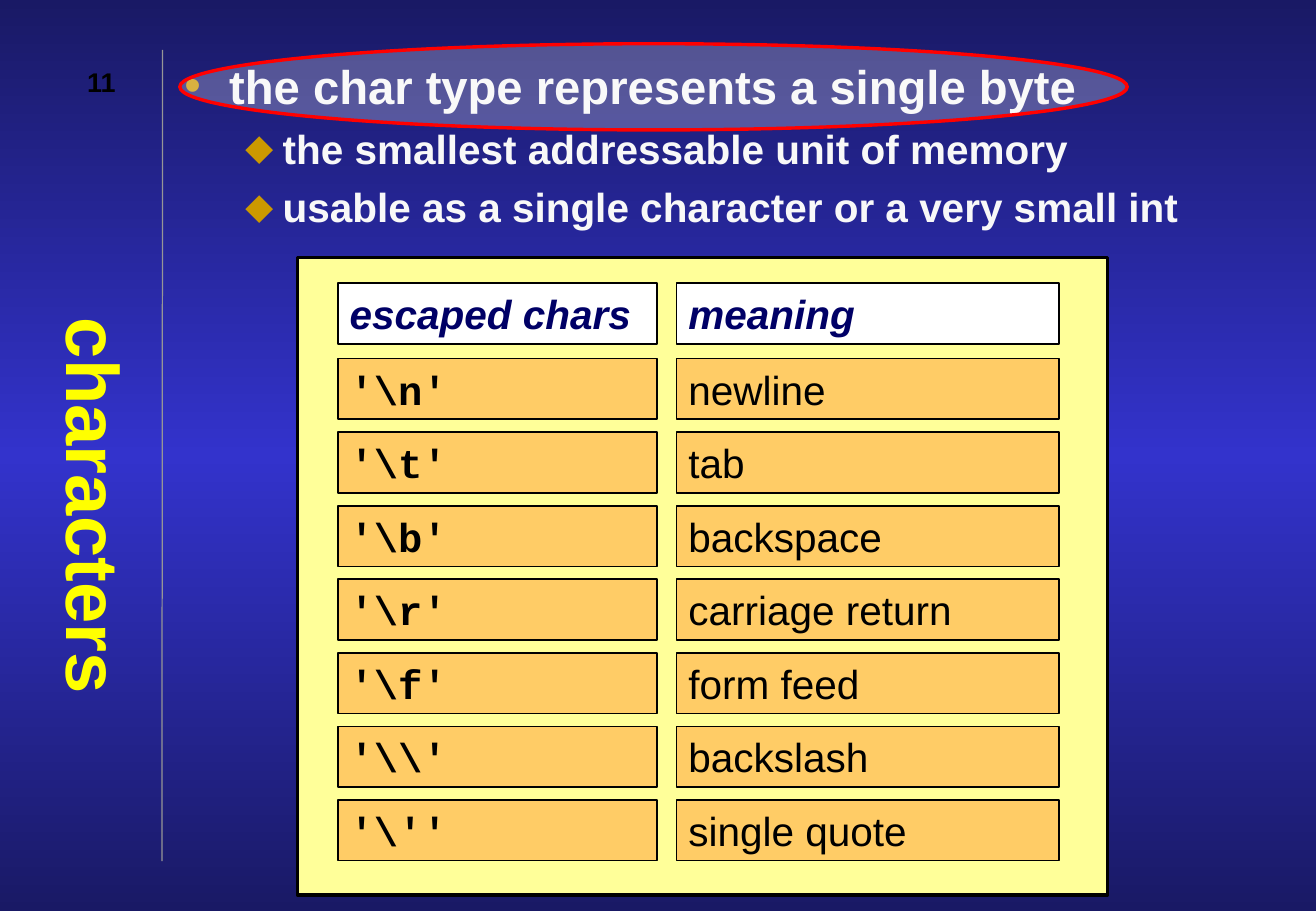
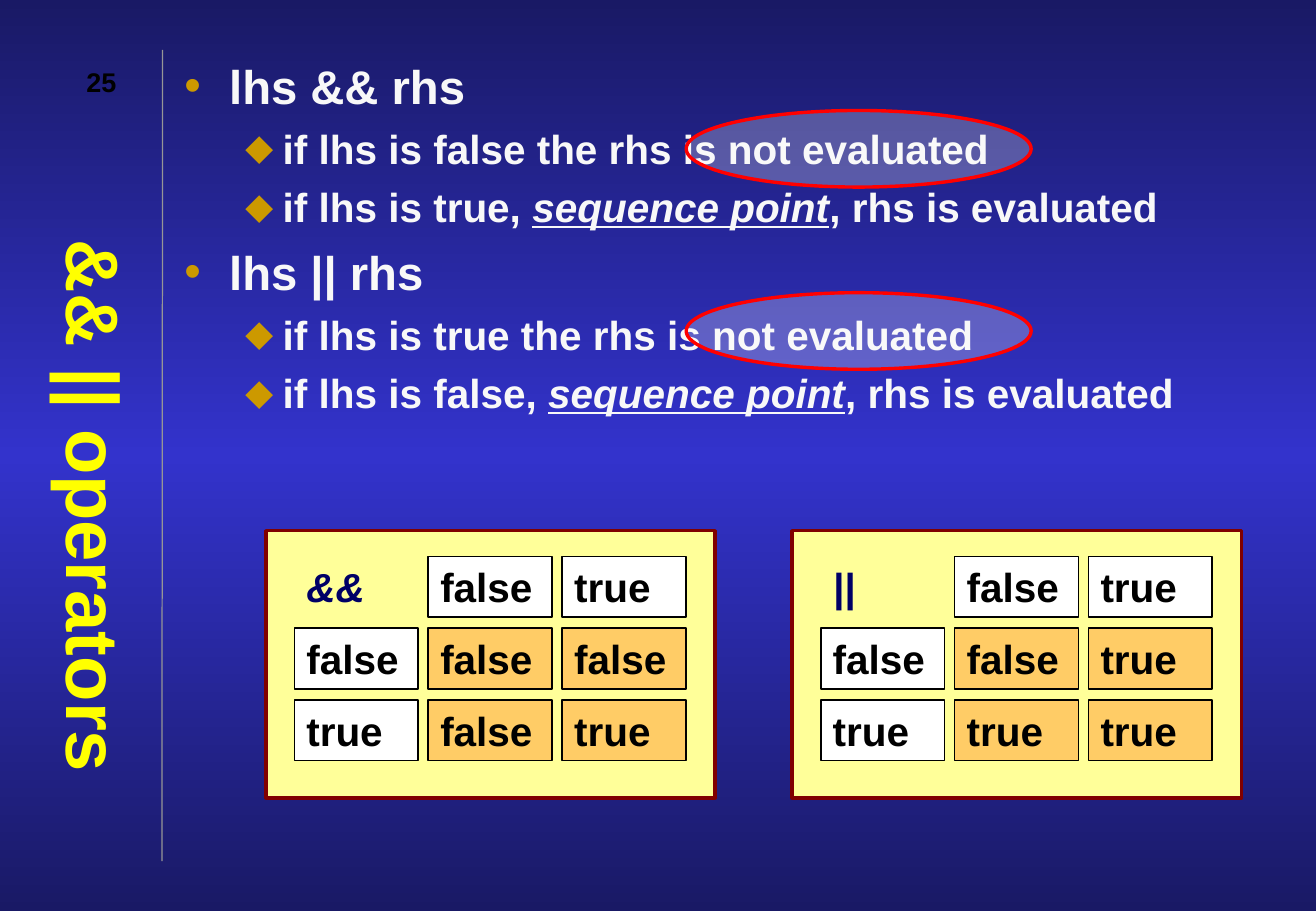
from copy import deepcopy
from dataclasses import dataclass

from lxml import etree
from pptx import Presentation
from pptx.dml.color import RGBColor
from pptx.enum.shapes import MSO_CONNECTOR, MSO_SHAPE
from pptx.enum.text import MSO_ANCHOR, PP_ALIGN
from pptx.oxml.ns import qn
from pptx.util import Pt

RECTANGLE, OVAL = MSO_SHAPE.RECTANGLE, MSO_SHAPE.OVAL
STRAIGHT = MSO_CONNECTOR.STRAIGHT
TOP, MIDDLE = MSO_ANCHOR.TOP, MSO_ANCHOR.MIDDLE
LEFT, CENTER = PP_ALIGN.LEFT, PP_ALIGN.CENTER


@dataclass(frozen=True)
class Theme:
    edge: str = "191965"
    glow: str = "3333CC"
    rule: str = "969696"
    title: str = "FFFF00"
    text: str = "F8F8F8"
    bullet: str = "CC9900"
    panel: str = "FFFF99"
    cell: str = "FFCC66"
    white: str = "FFFFFF"
    black: str = "000000"
    heading: str = "000066"
    maroon: str = "800000"
    mark: str = "FF0000"
    font: str = "Arial"
    code_font: str = "Courier New"
    title_size: int = 44
    body_sizes: tuple = (28, 24)
    cell_size: int = 24
    number_size: int = 16


THEME = Theme()

# Bullet levels: character, left margin, hanging indent, space before
LEVELS = (("•", 26.6, 26.6, 7), ("⬥", 58.3, 22.3, 6))
CELL_HEIGHT = 36


def rgb(value):
    return RGBColor.from_string(value)


def points(*values):
    return [Pt(value) for value in values]


# Text
def add_span(para, text, size, color, bold=True, italic=False,
             underline=False, font=THEME.font):
    span = para.add_run()
    span.text = text
    span.font.name = font
    span.font.size = Pt(size)
    span.font.color.rgb = rgb(color)
    span.font.bold = bold
    span.font.italic = italic
    span.font.underline = underline


def set_frame(box, anchor=TOP, insets=(7.2, 3.6)):
    frame = box.text_frame
    frame.word_wrap = True
    frame.vertical_anchor = anchor
    frame.margin_left = frame.margin_right = Pt(insets[0])
    frame.margin_top = frame.margin_bottom = Pt(insets[1])
    return frame


def add_text(page, at, text, size, color, anchor=TOP, align=LEFT,
             insets=(7.2, 3.6), **style):
    box = page.shapes.add_textbox(*points(*at))
    para = set_frame(box, anchor, insets).paragraphs[0]
    para.alignment = align
    add_span(para, text, size, color, **style)
    return box


def set_bullet(para, level):
    character, margin, hang, space = LEVELS[level]
    para.space_before = Pt(space)
    properties = para._p.get_or_add_pPr()
    properties.set("marL", str(Pt(margin)))
    properties.set("indent", str(-Pt(hang)))
    color = etree.SubElement(properties, qn("a:buClr"))
    etree.SubElement(color, qn("a:srgbClr"), val=THEME.bullet)
    etree.SubElement(properties, qn("a:buFont"), typeface=THEME.font)
    etree.SubElement(properties, qn("a:buChar"), char=character)


def add_bullets(page, items):
    """Each item is a level followed by plain and emphasised texts in turn."""
    box = page.shapes.add_textbox(*points(102.2, 30.2, 642.2, 480.2))
    frame = set_frame(box)
    for index, (level, *texts) in enumerate(items):
        para = frame.add_paragraph() if index else frame.paragraphs[0]
        set_bullet(para, level)
        for position, text in enumerate(texts):
            stressed = position % 2 == 1
            add_span(para, text, THEME.body_sizes[level], THEME.text,
                     italic=stressed, underline=stressed)


# Shapes
def add_shape(page, kind, at, fill, line, width):
    shape = page.shapes.add_shape(kind, *points(*at))
    shape.shadow.inherit = False
    shape.fill.solid()
    shape.fill.fore_color.rgb = rgb(fill)
    shape.line.color.rgb = rgb(line)
    shape.line.width = Pt(width)
    return shape


def add_panel(page, at, line):
    add_shape(page, RECTANGLE, at, THEME.panel, line, 2)


def add_cell(page, at, text, fill=THEME.cell, color=THEME.black, **style):
    cell = add_shape(page, RECTANGLE, at, fill, THEME.black, 1)
    para = set_frame(cell).paragraphs[0]
    para.alignment = LEFT
    add_span(para, text, THEME.cell_size, color, **style)


def add_highlight(page, at):
    oval = add_shape(page, OVAL, at, THEME.white, THEME.mark, 2)
    color = oval.element.spPr.find(qn("a:solidFill"))[0]
    etree.SubElement(color, qn("a:alpha"), val="25000")


# Shared look
def set_background(master):
    fill = master.background.fill
    fill.gradient()
    fill.gradient_angle = 270
    stops = master.element.find(".//" + qn("a:gsLst"))
    stops.append(deepcopy(stops[0]))
    colors = (THEME.edge, THEME.glow, THEME.edge)
    for index, stop in enumerate(fill.gradient_stops):
        stop.position = index / 2
        stop.color.rgb = rgb(colors[index])


def add_page(deck, title, number):
    page = deck.slides.add_slide(deck.slide_layouts[6])
    rule = page.shapes.add_connector(STRAIGHT, *points(96, 510.5, 96.4, 29.6))
    rule.line.color.rgb = rgb(THEME.rule)
    rule.line.width = Pt(0.75)
    etree.SubElement(rule.element.spPr, qn("a:effectLst"))

    # Title runs down the page, centred along its length
    heading = add_text(page, (23.8, 90, 66.2, 419.8), title, THEME.title_size,
                       THEME.title, MIDDLE, CENTER, insets=(3.6, 7.2))
    properties = heading.element.txBody.bodyPr
    properties.set("vert", "eaVert")
    properties.set("anchorCtr", "1")
    add_text(page, (30.2, 30.2, 59.8, 36), str(number), THEME.number_size,
             THEME.black, MIDDLE, CENTER)
    return page


# Tables of separate cells
def add_escape_table(page, rows):
    add_panel(page, (176.4, 152.6, 480.2, 378), THEME.black)
    columns = ((200.2, 189.4), (401, 226.8))
    for (left, width), text in zip(columns, ("escaped chars", "meaning")):
        add_cell(page, (left, 167.8, width, CELL_HEIGHT), text, THEME.white,
                 THEME.heading, italic=True)
    styles = ({"font": THEME.code_font}, {"bold": False})
    for index, row in enumerate(rows):
        top = 212.6 + 43.6 * index
        for (left, width), text, style in zip(columns, row, styles):
            add_cell(page, (left, top, width, CELL_HEIGHT), text, **style)


def add_truth_table(page, left, rows):
    top = 314.6
    add_panel(page, (left, top, 266.4, 158.4), THEME.maroon)
    for row_index, row in enumerate(rows):
        for column_index, text in enumerate(row):
            at = (left + 16.9 + 79.4 * column_index,
                  top + 15.2 + 42.5 * row_index, 73.4, CELL_HEIGHT)
            if row_index == column_index == 0:
                add_text(page, at, text, THEME.cell_size, THEME.heading,
                         italic=True)
            else:
                inner = row_index and column_index
                add_cell(page, at, text, THEME.cell if inner else THEME.white)


# Pages
def build_characters(deck):
    page = add_page(deck, "characters", 11)
    add_bullets(page, (
        (0, "the char type represents a single byte"),
        (1, "the smallest addressable unit of memory"),
        (1, "usable as a single character or a very small int"),
    ))
    add_escape_table(page, (
        (r"'\n'", "newline"),
        (r"'\t'", "tab"),
        (r"'\b'", "backspace"),
        (r"'\r'", "carriage return"),
        (r"'\f'", "form feed"),
        (r"'\\'", "backslash"),
        (r"'\''", "single quote"),
    ))
    add_highlight(page, (106.6, 25.9, 561.6, 51.1))


def build_operators(deck):
    page = add_page(deck, "&& || operators", 25)
    add_bullets(page, (
        (0, "lhs && rhs"),
        (1, "if lhs is false the rhs is not evaluated"),
        (1, "if lhs is true, ", "sequence point", ", rhs is evaluated"),
        (0, "lhs || rhs"),
        (1, "if lhs is true the rhs is not evaluated"),
        (1, "if lhs is false, ", "sequence point", ", rhs is evaluated"),
    ))
    add_truth_table(page, 157.6, (
        ("&&", "false", "true"),
        ("false", "false", "false"),
        ("true", "false", "true"),
    ))
    add_truth_table(page, 469.6, (
        ("||", "false", "true"),
        ("false", "false", "true"),
        ("true", "true", "true"),
    ))
    for top in (65.5, 173.5):
        add_highlight(page, (406.8, top, 204.5, 45.4))


def main():
    deck = Presentation()
    deck.slide_width, deck.slide_height = points(780.13, 540)
    set_background(deck.slide_master)
    build_characters(deck)
    build_operators(deck)
    deck.save("out.pptx")


if __name__ == "__main__":
    main()
